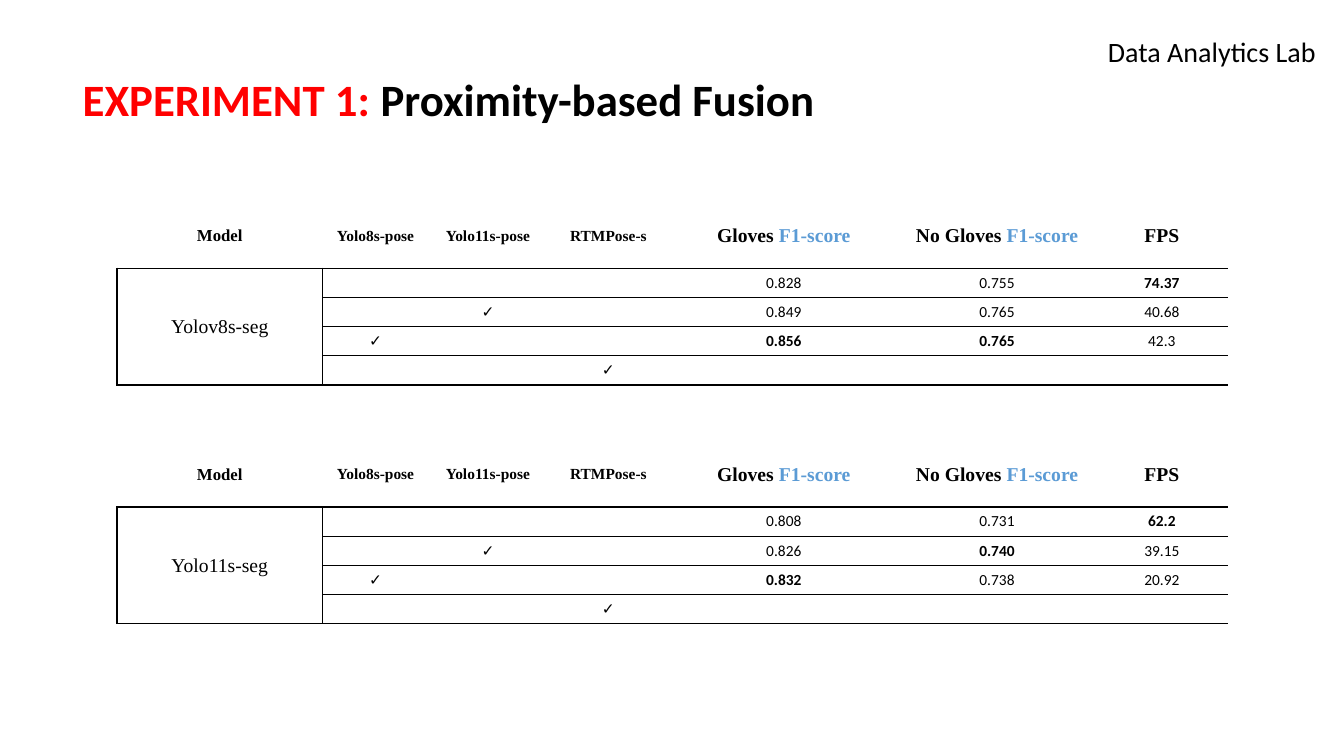
from lxml.etree import SubElement
from pptx import Presentation
from pptx.dml.color import RGBColor
from pptx.enum.text import MSO_ANCHOR, PP_ALIGN
from pptx.oxml.ns import qn
from pptx.util import Inches, Pt

COLORS = {"text": "000000", "accent": "FF0000", "metric": "5B9BD5", "cell": "FFFFFF"}
SANS, SERIF = "Calibri", "Times New Roman"
COLUMN_WIDTHS = [2.04, 1.05, 1.18, 1.21, 2.27, 1.96, 1.31]
HEADER_HEIGHT, ROW_HEIGHT = 0.64, 0.29
POSES = ["Yolo8s-pose", "Yolo11s-pose", "RTMPose-s"]
HEADERS = (
    [(["Model"], 12)]
    + [([pose], 11) for pose in POSES]
    + [(["Gloves ", "F1-score"], 14), (["No Gloves ", "F1-score"], 14), (["FPS"], 14)]
)
# Each row: pose model in use, (gloves, no gloves, FPS), positions of the bold scores
EXPERIMENTS = [
    ("Yolov8s-seg", 2.02, [
        (None, ("0.828", "0.755", "74.37"), {2}),
        ("Yolo11s-pose", ("0.849", "0.765", "40.68"), set()),
        ("Yolo8s-pose", ("0.856", "0.765", "42.3"), {0, 1}),
        ("RTMPose-s", ("", "", ""), set()),
    ]),
    ("Yolo11s-seg", 4.39, [
        (None, ("0.808", "0.731", "62.2"), {2}),
        ("Yolo11s-pose", ("0.826", "0.740", "39.15"), {1}),
        ("Yolo8s-pose", ("0.832", "0.738", "20.92"), {0}),
        ("RTMPose-s", ("", "", ""), set()),
    ]),
]


def rgb(name):
    return RGBColor.from_string(COLORS[name])


def write(paragraph, texts, size, font, bold=False, colors=("text",)):
    """Fill a paragraph with one run per text, each in its own colour."""
    paragraph.font.size = Pt(size)
    paragraph.font.name = font
    paragraph.font.bold = bold
    for text, color in zip(texts, colors):
        run = paragraph.add_run()
        run.text = text
        run.font.color.rgb = rgb(color)


def set_borders(cell, sides):
    """Draw the given sides (letters of LRTB) in black and clear the others."""
    properties = cell._tc.get_or_add_tcPr()
    for side in "LRTB":
        line = SubElement(properties, qn(f"a:ln{side}"), w=str(Pt(1)))
        if side in sides:
            fill = SubElement(line, qn("a:solidFill"))
            SubElement(fill, qn("a:srgbClr"), val=COLORS["text"])
        else:
            SubElement(line, qn("a:noFill"))


def fill_cell(cell, texts, size, font, bold=False):
    cell.vertical_anchor = MSO_ANCHOR.MIDDLE
    cell.margin_top = cell.margin_bottom = Inches(0.03)
    paragraph = cell.text_frame.paragraphs[0]
    paragraph.alignment = PP_ALIGN.CENTER
    if any(texts):
        write(paragraph, texts, size, font, bold, ("text", "metric"))
    else:
        SubElement(paragraph._p, qn("a:endParaRPr"), sz=str(size * 100))


def add_lab_name(slide, left, top, width, height):
    lab = slide.shapes.add_textbox(Inches(left), Inches(top), Inches(width), Inches(height))
    lab.text_frame.word_wrap = False
    write(lab.text_frame.paragraphs[0], ["Data Analytics Lab"], 20, SANS)


def add_title(slide, left, top, width, height):
    title = slide.shapes.title
    title.left, title.top = Inches(left), Inches(top)
    title.width, title.height = Inches(width), Inches(height)
    title.text_frame.vertical_anchor = MSO_ANCHOR.MIDDLE
    heading = title.text_frame.paragraphs[0]
    heading.alignment = PP_ALIGN.LEFT
    heading.line_spacing = 0.9
    write(heading, ["EXPERIMENT 1: ", "Proximity-based Fusion"], 32, SANS, True,
          ("accent", "text"))


def add_scores(slide, left, top, model, rows):
    """Add the score table of one segmentation model."""
    height = HEADER_HEIGHT + ROW_HEIGHT * len(rows)
    scores = slide.shapes.add_table(
        len(rows) + 1, len(COLUMN_WIDTHS), Inches(left), Inches(top),
        Inches(sum(COLUMN_WIDTHS)), Inches(height)).table
    scores.first_row = scores.horz_banding = False
    for column, width in zip(scores.columns, COLUMN_WIDTHS):
        column.width = Inches(width)
    for index, row in enumerate(scores.rows):
        row.height = Inches(ROW_HEIGHT if index else HEADER_HEIGHT)
        for position, cell in enumerate(row.cells):
            body_sides = {0: "LRTB", 1: "LTB"}.get(position, "TB")
            set_borders(cell, body_sides if index else "B")
            cell.fill.solid()
            cell.fill.fore_color.rgb = rgb("cell")

    for position, (texts, size) in enumerate(HEADERS):
        fill_cell(scores.cell(0, position), texts, size, SERIF, True)
    scores.cell(1, 0).merge(scores.cell(len(rows), 0))
    fill_cell(scores.cell(1, 0), [model], 14, SERIF)
    for index, (used_pose, values, bold_positions) in enumerate(rows, 1):
        for position, pose in enumerate(POSES, 1):
            tick = "✓" if pose == used_pose else ""
            fill_cell(scores.cell(index, position), [tick], 11, SANS, True)
        for position, value in enumerate(values):
            fill_cell(scores.cell(index, position + len(POSES) + 1), [value], 11, SANS,
                      position in bold_positions)


def main():
    presentation = Presentation()
    presentation.slide_width, presentation.slide_height = Inches(13.33), Inches(7.5)
    slide = presentation.slides.add_slide(presentation.slide_layouts[5])
    add_lab_name(slide, 10.89, 0.29, 2.29, 0.44)
    add_title(slide, 0.72, 0.49, 8.91, 1.04)
    for model, top, rows in EXPERIMENTS:
        add_scores(slide, 1.16, top, model, rows)
    presentation.save("out.pptx")


if __name__ == "__main__":
    main()
